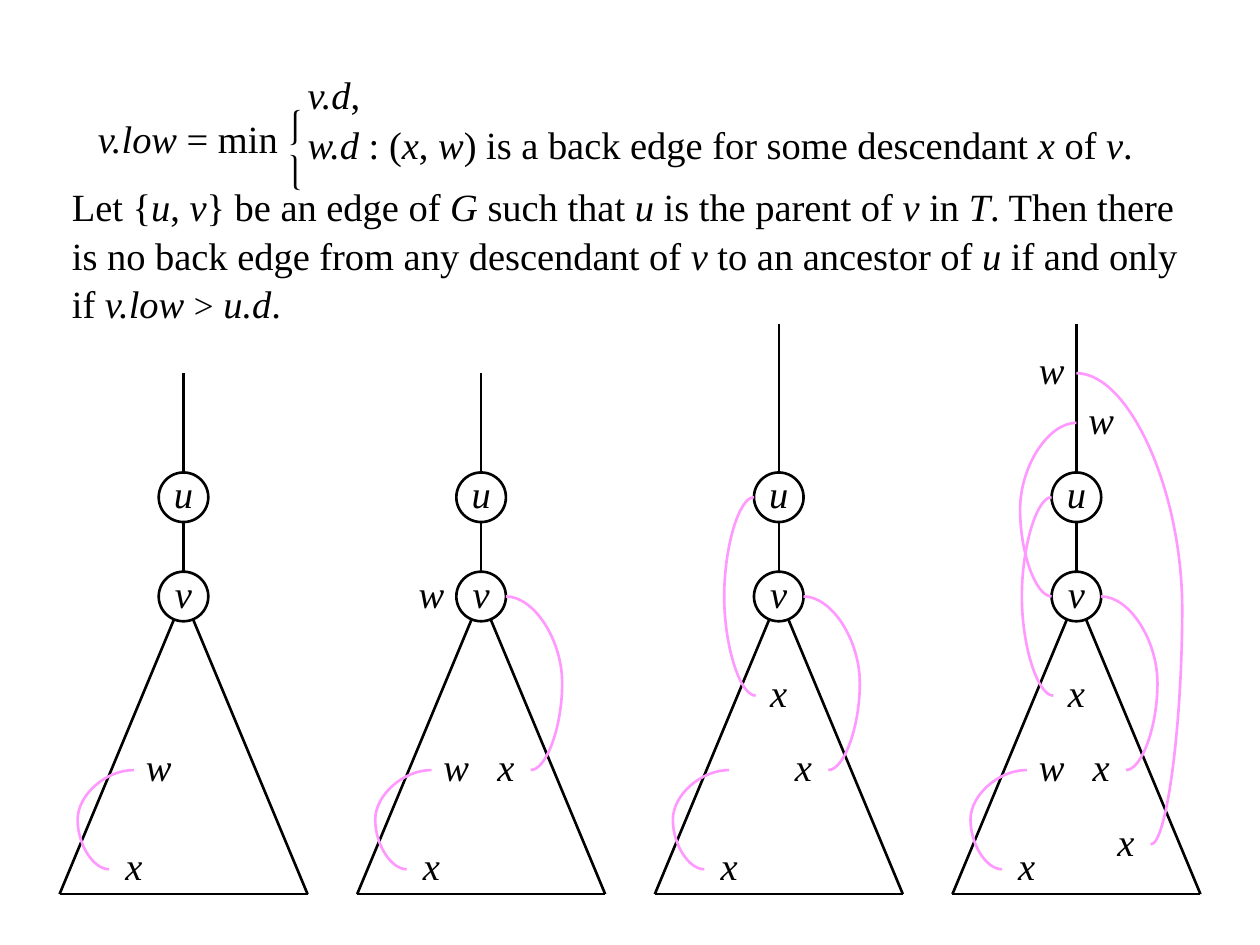
from lxml.etree import SubElement
from pptx import Presentation
from pptx.dml.color import RGBColor
from pptx.enum.shapes import MSO_CONNECTOR, MSO_SHAPE
from pptx.enum.text import MSO_ANCHOR, PP_ALIGN
from pptx.oxml.ns import qn
from pptx.util import Cm, Inches, Pt

BLACK = RGBColor(0x00, 0x00, 0x00)
WHITE = RGBColor(0xFF, 0xFF, 0xFF)
PINK = RGBColor(0xFF, 0x99, 0xFF)
FONT = "Times New Roman"
UNIT = 0.5
LEFT, TOP = 0.4, 0.05
BULGE = 1.27
NO_GRID_STYLE = "{2D5ABB26-0587-4C30-8999-92F81FD0307C}"

DEFINITION = ["_v.d_,",
              "_w.d_ : (_x_, _w_) is a back edge for some descendant _x_ of _v_."]
CLAIM = ("Let {_u_, _v_} be an edge of _G _such that _u_ is the parent of _v_ in _T_. "
         "Then there is no back edge from any descendant of _v_ to an ancestor of _u_ "
         "if and only if _v.low _>__ _u.d_.")

LOW_ARC = (-3, 35, -2, 31, -1)
V_ARC = (2, 31, 1, 24, 1)
U_ARC = (-0.93, 28, -1, 20, -1)
TREES = [
    (15, [("w", -1, 31), ("x", -2, 35)], [LOW_ARC]),
    (15, [("w", -2, 24), ("w", -1, 31), ("x", -2, 35), ("x", 1, 31)], [V_ARC, LOW_ARC]),
    (13, [("x", 0, 28), ("x", -2, 35), ("x", 1, 31)], [V_ARC, LOW_ARC, U_ARC]),
    (13, [("w", -1, 31), ("x", 0, 28), ("x", -2, 35), ("x", 2, 34), ("w", -1, 15),
          ("x", 1, 31), ("w", 1, 17)],
     [V_ARC, (3, 34, 0, 15, 1), LOW_ARC, U_ARC, (-1, 24, 0, 17, -1)]),
]


def size(n):
    return Cm(UNIT * n)


def at(col, row):
    return size(col + LEFT), size(row + TOP)


def write(p, text, align=PP_ALIGN.LEFT, points=22):
    for i, part in enumerate(text.split("_")):
        if part:
            r = p.add_run()
            r.text = part
            r.font.italic = i % 2 == 1
    p.alignment = align
    p.font.size = Pt(points)
    p.font.name = FONT
    p.font.color.rgb = BLACK


def add_definition(s):
    frame = s.shapes.add_table(2, 3, *at(3, 3), size(43), size(4))
    table = frame.table
    table._tbl.tblPr.find(qn("a:tableStyleId")).text = NO_GRID_STYLE
    table.first_row = table.horz_banding = False
    for column, width in zip(table.columns, (8, 1, 34)):
        column.width = size(width)
    for row in table.rows:
        row.height = size(2)
    for cell in table.iter_cells():
        cell.fill.background()
        cell.margin_left = cell.margin_right = cell.margin_top = cell.margin_bottom = 0
    for col in (0, 1):
        table.cell(0, col).merge(table.cell(1, col))
        table.cell(0, col).vertical_anchor = MSO_ANCHOR.MIDDLE
    name, brace = table.cell(0, 0), table.cell(0, 1)
    name.margin_right, name.margin_bottom = Inches(0.04), Inches(0.08)
    write(name.text_frame.paragraphs[0], "_v.low _= min", PP_ALIGN.RIGHT)
    p = brace.text_frame.paragraphs[0]
    p.line_spacing = Pt(26)
    write(p, "⎰⎱", PP_ALIGN.CENTER, 20)
    for row, text in enumerate(DEFINITION):
        write(table.cell(row, 2).text_frame.paragraphs[0], text)


def add_claim(s):
    tf = s.shapes.add_textbox(*at(2, 7), size(46), size(6)).text_frame
    tf.word_wrap = True
    p = tf.paragraphs[0]
    p.line_spacing = 1.05
    write(p, CLAIM)
    p.runs[-4].font.size = Pt(20)


def add_circle(s, text, col, row, color, width):
    sp = s.shapes.add_shape(MSO_SHAPE.OVAL, *at(col - 1, row - 1), size(2), size(2))
    sp.shadow.inherit = False
    sp.fill.solid()
    sp.fill.fore_color.rgb = WHITE
    sp.line.color.rgb = color
    sp.line.width = Pt(width)
    tf = sp.text_frame
    tf.word_wrap = False
    tf.vertical_anchor = MSO_ANCHOR.MIDDLE
    tf.margin_top, tf.margin_bottom = 0, Inches(0.06)
    write(tf.paragraphs[0], f"_{text}_", PP_ALIGN.CENTER)


def add_link(s, x1, y1, x2, y2, color=BLACK, kind=MSO_CONNECTOR.STRAIGHT):
    link = s.shapes.add_connector(kind, *at(x1, y1), *at(x2, y2))
    link.line.color.rgb = color
    link.line.width = Pt(1.5)
    SubElement(link._element.spPr, qn("a:effectLst"))
    return link


def add_arc(s, x1, y1, x2, y2, side):
    link = add_link(s, x1, y1, x2, y2, PINK, MSO_CONNECTOR.CURVE)
    geom = link._element.spPr.find(qn("a:prstGeom"))
    bend = round(side * BULGE / (x2 - x1) * 100000)
    SubElement(geom.find(qn("a:avLst")), qn("a:gd"), name="adj1", fmla=f"val {bend}")


def add_tree(s, mid, top, labels, arcs):
    for text, dx, row in labels:
        add_circle(s, text, mid + dx, row, WHITE, 2)
    add_link(s, mid, 24, mid + 5, 36)
    add_link(s, mid - 5, 36, mid, 24)
    add_circle(s, "u", mid, 20, BLACK, 1.5)
    add_circle(s, "v", mid, 24, BLACK, 1.5)
    add_link(s, mid, 21, mid, 23)
    add_link(s, mid - 5, 36, mid + 5, 36)
    add_link(s, mid, top, mid, 19)
    for x1, y1, x2, y2, side in arcs:
        add_arc(s, mid + x1, y1, mid + x2, y2, side)


def main():
    prs = Presentation()
    prs.slide_width, prs.slide_height = Inches(10), Inches(7.5)
    s = prs.slides.add_slide(prs.slide_layouts[6])
    add_claim(s)
    add_definition(s)
    for i, (top, labels, arcs) in enumerate(TREES):
        add_tree(s, 7 + 12 * i, top, labels, arcs)
    prs.save("out.pptx")


if __name__ == "__main__":
    main()
